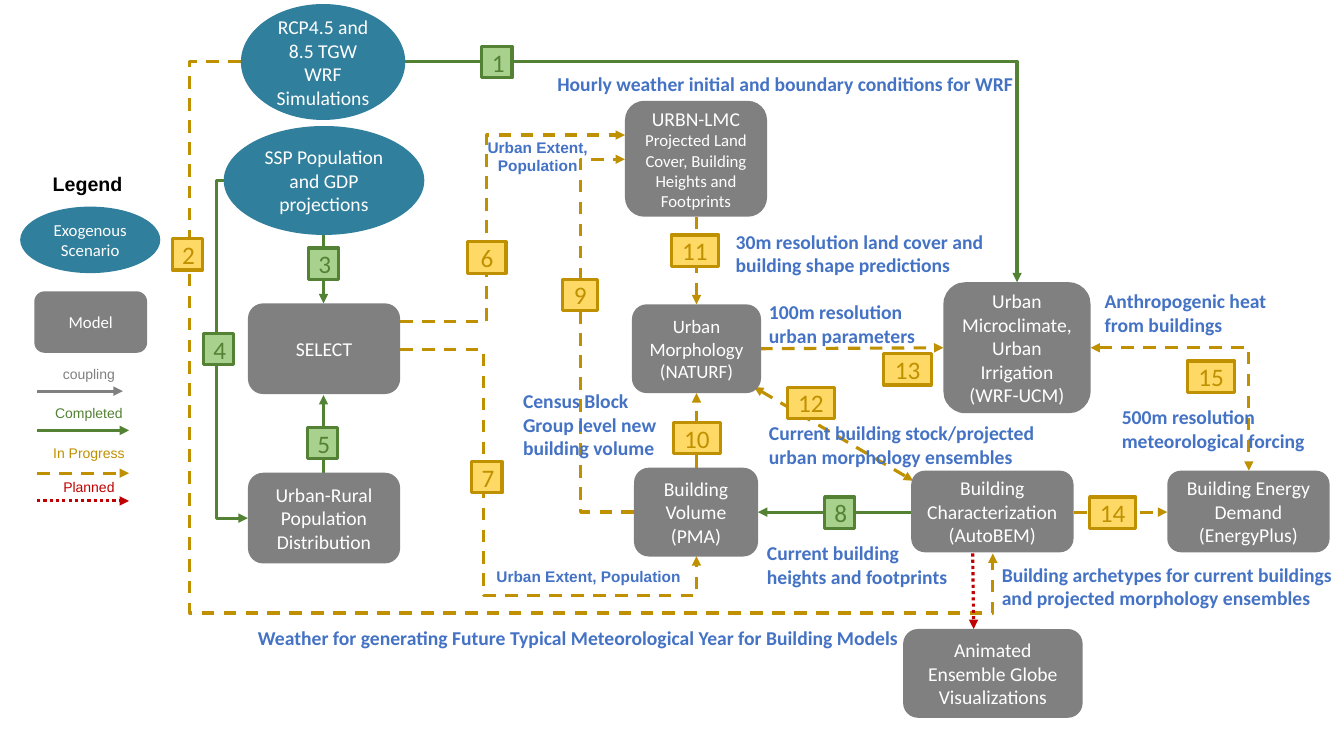
from lxml import etree
from pptx import Presentation
from pptx.dml.color import RGBColor
from pptx.enum.dml import MSO_LINE
from pptx.enum.shapes import MSO_CONNECTOR, MSO_SHAPE
from pptx.enum.text import MSO_ANCHOR, MSO_AUTO_SIZE, PP_ALIGN
from pptx.oxml.ns import qn
from pptx.util import Pt

ELLIPSE, ROUNDED, RECTANGLE = MSO_SHAPE.OVAL, MSO_SHAPE.ROUNDED_RECTANGLE, MSO_SHAPE.RECTANGLE
STRAIGHT, ELBOW = MSO_CONNECTOR.STRAIGHT, MSO_CONNECTOR.ELBOW
LEFT, CENTER, MIDDLE = PP_ALIGN.LEFT, PP_ALIGN.CENTER, MSO_ANCHOR.MIDDLE

COLORS = {
    "scenario": "307F9C", "model": "808080", "white": "FFFFFF", "black": "000000",
    "label": "4472C4", "coupling": "808080", "completed": "548235",
    "progress": "BF9000", "planned": "C00000",
    "completed_fill": "A9D18E", "progress_fill": "FFD966",
}
DASHES = {"progress": MSO_LINE.DASH, "planned": MSO_LINE.ROUND_DOT}
LINE_WIDTH = 2.25

# Left, top, width, height, text
SCENARIOS = [
    (172.1, 2.9, 117.4, 82.8, "RCP4.5 and 8.5 TGW WRF Simulations"),
    (159.8, 90, 143.3, 77.8, "SSP Population and GDP projections"),
]
MODELS = [
    (177.1, 337.7, 108.7, 64.8, "Urban-Rural Population Distribution"),
    (177.1, 216.7, 108.7, 64.8, "SELECT"),
    (452.9, 334.1, 88.6, 63.4, "Building Volume (PMA)"),
    (673.9, 201.6, 105.1, 93.6, "Urban Microclimate, Urban Irrigation\n(WRF-UCM)"),
    (833.8, 336.2, 115.9, 58.3, "Building Energy Demand\n(EnergyPlus)"),
    (650.9, 336.2, 115.9, 58.3, "Building Characterization\n(AutoBEM)"),
    (645.1, 449.3, 128.2, 63.4, "Animated Ensemble Globe Visualizations"),
]

# Status, start x, start y, end x, end y
STRAIGHT_ARROWS = [
    ("completed", 231.1, 337.7, 231.1, 282.2),
    ("completed", 231.1, 167.8, 231.1, 216.7),
    ("completed", 650.9, 365.8, 541.4, 365.8),
    ("progress", 497.5, 154.8, 497.5, 217.4),
    ("progress", 497.5, 334.1, 497.5, 280.8),
    ("progress", 542.9, 249.1, 673.9, 248.4),
    ("progress", 767.5, 365.8, 833.8, 365.8),
    ("planned", 694.8, 395.3, 695.5, 449.3),
]
# The same, then the x and y of the bends where needed
ELBOW_ARROWS = [
    ("progress", 172.1, 43.9, 709.2, 395.3, 135.4, 437.8),
    ("completed", 289.4, 43.9, 726.5, 201.6),
    ("progress", 285.8, 229.7, 446.4, 96.5, 347.8),
    ("completed", 159.8, 128.9, 177.1, 370.1, 154.8),
    ("progress", 285.8, 249.8, 497.5, 397.4, 345.6, 425.5),
    ("progress", 452.9, 365.8, 446.4, 113.8, 414.7),
]

# Left, top, width, height, text
FLOW_LABELS = [
    (391, 48.2, 344.2, 24.5, "Hourly weather initial and boundary conditions for WRF"),
    (518.4, 160.6, 194.4, 41, "30m resolution land cover and building shape predictions"),
    (366.5, 274.3, 128.9, 58.3, "Census Block Group level new building volume"),
    (542.2, 297.4, 211.7, 41, "Current building stock/projected urban morphology ensembles"),
    (708.5, 398.2, 250.6, 41,
     "Building archetypes for current buildings and projected morphology ensembles"),
    (781.9, 203, 135.4, 41, "Anthropogenic heat from buildings"),
    (542.2, 211, 125.3, 41, "100m resolution urban parameters"),
    (540.7, 383, 145.4, 41, "Current building heights and footprints"),
    (177.1, 443.5, 474.5, 24.5,
     "Weather for generating Future Typical Meteorological Year for Building Models"),
    (794.2, 285.8, 157, 41, "500m resolution meteorological forcing"),
]
EXTENT_LABELS = [(339.1, 95, 90, 33.8), (344.2, 401.8, 152.6, 20.9)]

# Step number: left, top, width
BADGES = {
    1: (344.2, 33.1, 21.6), 2: (123.1, 170.6, 21.6), 3: (220.3, 177.1, 21.6),
    4: (145.4, 238.3, 21.6), 5: (219.6, 305.3, 21.6), 6: (334.1, 172.8, 27.4),
    7: (337, 329.8, 21.6), 8: (589, 355, 21.6), 9: (401.8, 199.4, 25.2),
    10: (481, 301.7, 33.8), 11: (479.5, 167.8, 33.8), 12: (562.3, 276.5, 33.8),
    13: (631.4, 252.7, 33.8), 14: (778.3, 355, 33.1), 15: (848.2, 257.8, 33.8),
}
COMPLETED_STEPS = {1, 3, 4, 5, 8}

# Status, caption, caption top, arrow y, arrow end x
LEGEND_ROWS = [
    ("coupling", "coupling", 257.8, 279.4, 87.8),
    ("completed", "Completed", 285.1, 307.4, 92.2),
    ("progress", "In Progress", 313.9, 338, 92.2),
    ("planned", "Planned", 338.4, 357.8, 92.2),
]


def rgb(name):
    return RGBColor.from_string(COLORS[name])


def write(shape, text, size, color, font="Calibri", bold=False, align=CENTER):
    text_frame = shape.text_frame
    text_frame.word_wrap = True
    text_frame.text = text
    for paragraph in text_frame.paragraphs:
        paragraph.alignment = align
        for run in paragraph.runs:
            run.font.name = font
            run.font.size = Pt(size)
            run.font.bold = bold
            run.font.color.rgb = rgb(color)


def add_box(slide, kind, box, fill, text, size=14, color="white", outline=None):
    shape = slide.shapes.add_shape(kind, *map(Pt, box))
    shape.shadow.inherit = False
    shape.fill.solid()
    shape.fill.fore_color.rgb = rgb(fill)
    if outline:
        shape.line.color.rgb = rgb(outline)
        shape.line.width = Pt(LINE_WIDTH)
    else:
        shape.line.fill.background()
    write(shape, text, size, color)
    shape.text_frame.vertical_anchor = MIDDLE
    return shape


def add_label(slide, box, text, size=14, color="label", **style):
    label = slide.shapes.add_textbox(*map(Pt, box))
    write(label, text, size, color, **style)
    label.text_frame.auto_size = MSO_AUTO_SIZE.SHAPE_TO_FIT_TEXT


def add_arrow(slide, status, *ends, kind=STRAIGHT, both=False):
    arrow = slide.shapes.add_connector(kind, *map(Pt, ends))
    arrow.line.color.rgb = rgb(status)
    arrow.line.width = Pt(LINE_WIDTH)
    if status in DASHES:
        arrow.line.dash_style = DASHES[status]
    properties = arrow._element.spPr
    outline = properties.find(qn("a:ln"))
    for tag in ("a:headEnd", "a:tailEnd") if both else ("a:tailEnd",):
        etree.SubElement(outline, qn(tag), type="triangle")
    etree.SubElement(properties, qn("a:effectLst"))
    return arrow


def add_elbow(slide, status, x1, y1, x2, y2, bend_x=None, bend_y=None, both=False):
    arrow = add_arrow(slide, status, x1, y1, x2, y2, kind=ELBOW, both=both)
    ratios = []
    if bend_x is not None:
        ratios.append((bend_x - x1) / (x2 - x1))
    if bend_y is not None:
        ratios.append((bend_y - y1) / (y2 - y1))
    geometry = arrow._element.spPr.find(qn("a:prstGeom"))
    geometry.set("prst", f"bentConnector{2 + len(ratios)}")
    adjustments = geometry.find(qn("a:avLst"))
    for number, ratio in enumerate(ratios, 1):
        etree.SubElement(adjustments, qn("a:gd"), name=f"adj{number}",
                         fmla=f"val {round(ratio * 100000)}")


def add_badge(slide, number, left, top, width):
    status = "completed" if number in COMPLETED_STEPS else "progress"
    add_box(slide, RECTANGLE, (left, top, width, 22.3), status + "_fill", str(number),
            18, status, status)


def add_legend(slide):
    add_label(slide, (30.2, 119.5, 64.8, 24.5), "Legend", color="black", font="Arial", bold=True)
    add_box(slide, ELLIPSE, (14.4, 147.6, 100.1, 47.5), "scenario", "Exogenous Scenario", 12)
    add_box(slide, ROUNDED, (24.5, 208.1, 80.6, 43.9), "model", "Model", 12)
    for status, caption, top, arrow_y, end_x in LEGEND_ROWS:
        add_arrow(slide, status, 26.6, arrow_y, end_x, arrow_y)
        add_label(slide, (26, top, 75, 19.4), caption, 10, status, font="Arial")


def main():
    presentation = Presentation()
    presentation.slide_width, presentation.slide_height = Pt(960), Pt(540)
    slide = presentation.slides.add_slide(presentation.slide_layouts[6])

    # Couplings
    for arrow in ELBOW_ARROWS:
        add_elbow(slide, *arrow)
    for arrow in STRAIGHT_ARROWS:
        add_arrow(slide, *arrow)
    add_elbow(slide, "progress", 779, 248.4, 892.1, 336.2, both=True)
    add_arrow(slide, "progress", 538.6, 276.5, 652.3, 343.4, both=True)

    # Scenarios and models
    for *box, text in SCENARIOS:
        add_box(slide, ELLIPSE, box, "scenario", text)
    for *box, text in MODELS:
        add_box(slide, ROUNDED, box, "model", text)
    add_box(slide, ROUNDED, (451.4, 217.4, 92.2, 63.4), "model", "Urban Morphology\n(NATURF)", 13.5)
    land_cover = add_box(slide, ROUNDED, (446.4, 72, 101.5, 82.8), "model",
                         "URBN-LMC\nProjected Land Cover, Building Heights and Footprints")
    land_cover.text_frame.paragraphs[1].runs[0].font.size = Pt(12)

    # Flow labels
    for *box, text in FLOW_LABELS:
        add_label(slide, box, text, bold=True, align=LEFT)
    for box in EXTENT_LABELS:
        add_label(slide, box, "Urban Extent, Population", 11, font="Arial", bold=True)

    # Step numbers and legend
    for number, place in BADGES.items():
        add_badge(slide, number, *place)
    add_legend(slide)

    presentation.save("out.pptx")


main()
